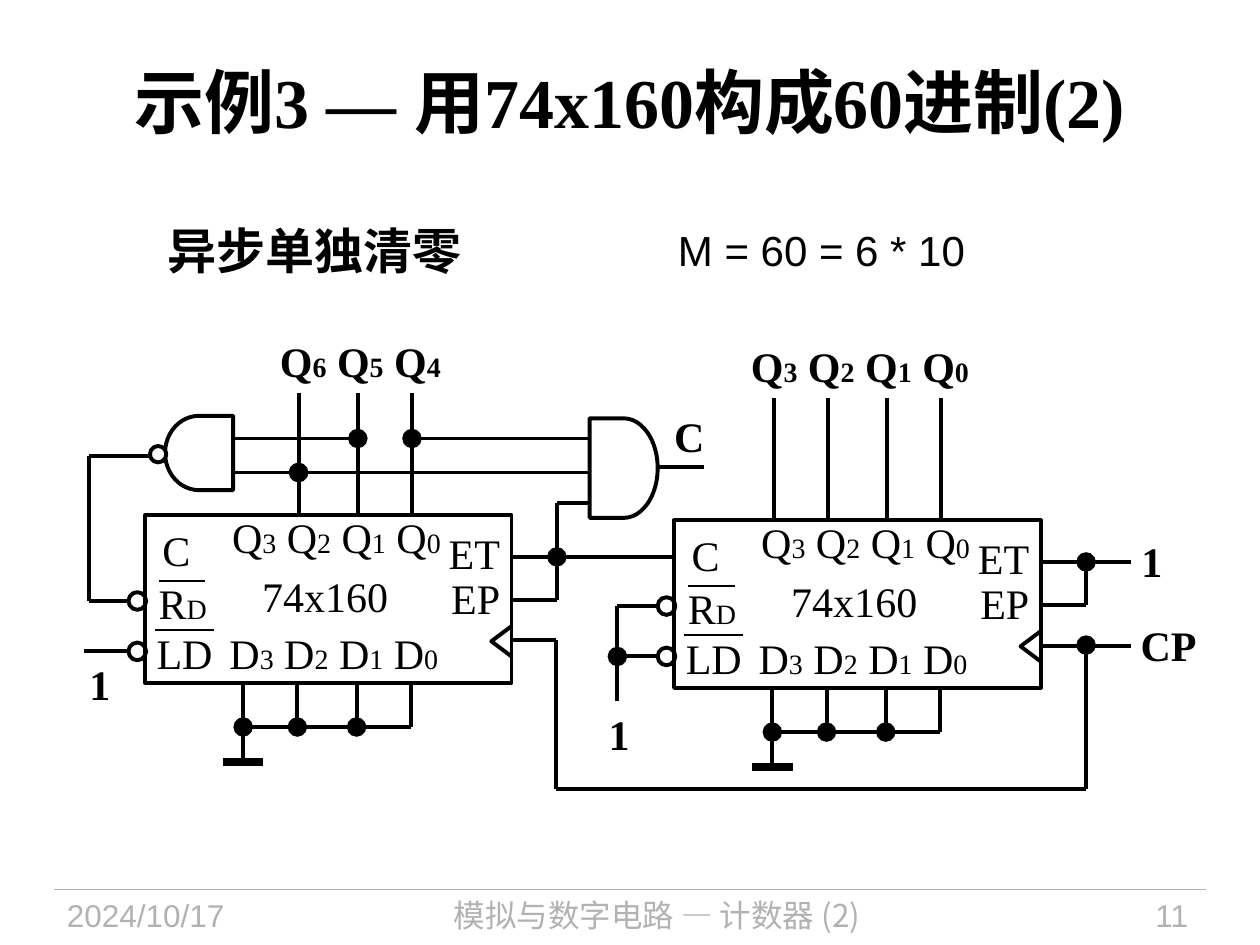
from itertools import pairwise

from pptx import Presentation
from pptx.dml.color import RGBColor
from pptx.enum.shapes import MSO_CONNECTOR, MSO_SHAPE
from pptx.enum.text import MSO_ANCHOR, PP_ALIGN
from pptx.oxml.ns import qn
from pptx.util import Inches, Pt
from lxml.etree import SubElement

UNIT = Inches(10) / 100
BLACK, GREY, WHITE = "000000", "B2B2B2", "FFFFFF"
SERIF, SANS, CJK = "Times New Roman", "Arial", "Noto Sans CJK SC"
PINS = (7.9, 12.2, 16.9, 21.2)
CHIP_W, CHIP_H = 29.1, 13.3
LABELS = (
    ("Q_3 Q_2 Q_1 Q_0", 5.9, -0.8, 18.6),
    ("C", 0.4, 0.2, 4.2),
    ("ET", 23.1, 0.5, 6.1),
    ("EP", 23.3, 4, 5.9),
    ("74x160", 8.3, 3.9, 12),
    ("R_D", 0.1, 4.4, 5.8),
    ("LD", -0.1, 8.4, 6.5),
    ("D_3 D_2 D_1 D_0", 5.7, 8.4, 18.6),
)


def grid(*values):
    """Turn grid columns and rows (100 across, 75 down) into EMU."""
    return [round(v * UNIT) for v in values]


def color(hex_string):
    """Return the RGB colour of a hex string."""
    return RGBColor.from_string(hex_string)


def write(tf, text, size, font, fill=BLACK, bold=False, align=PP_ALIGN.CENTER, wrap=False):
    """Fill a text frame; a character after an underscore is set small."""
    frame = {"word_wrap": wrap, "vertical_anchor": MSO_ANCHOR.MIDDLE, "margin_left": 0,
             "margin_right": 0, "margin_top": 0, "margin_bottom": 0}
    for name, value in frame.items():
        setattr(tf, name, value)
    p = tf.paragraphs[0]
    p.alignment = align
    first, *rest = text.split("_")
    pieces = [(first, size)]
    for part in rest:
        pieces += [(part[0], size * 2 / 3), (part[1:], size)]
    for piece, points in pieces:
        if piece:
            r = p.add_run()
            r.text = piece
            for name, value in {"name": font, "size": Pt(points), "bold": bold}.items():
                setattr(r.font, name, value)
            r.font.color.rgb = color(fill)
            SubElement(r.font._element, qn("a:ea"), typeface=CJK)


def label(s, text, x, y, w, h=5, size=24, font=SERIF, **style):
    """Place a text box on the grid."""
    write(s.shapes.add_textbox(*grid(x, y, w, h)).text_frame, text, size, font, **style)


def outline(sp, fill=None, width=2.25):
    """Give a shape a plain black outline and an optional fill."""
    sp.shadow.inherit = False
    if fill:
        sp.fill.solid()
        sp.fill.fore_color.rgb = color(fill)
    else:
        sp.fill.background()
    sp.line.color.rgb = color(BLACK)
    sp.line.width = Pt(width)
    return sp


def wire(s, x1, y1, x2, y2, dot=None, width=2.25, fill=BLACK):
    """Draw a straight wire, with a junction dot at its head or tail."""
    c = s.shapes.add_connector(MSO_CONNECTOR.STRAIGHT, *grid(x1, y1, x2, y2))
    c.line.color.rgb = color(fill)
    c.line.width = Pt(width)
    if dot:
        SubElement(c.line._get_or_add_ln(), qn(f"a:{dot}End"), type="oval", w="lg", len="lg")
    SubElement(c._element.spPr, qn("a:effectLst"))


def route(s, *points):
    """Draw wires through a row of points."""
    for start, end in pairwise(points):
        wire(s, *start, *end)


def bubble(s, x, y, d=1.4):
    """Draw an inverting bubble around a centre."""
    box = grid(x - d / 2, y - d / 2, d, d)
    outline(s.shapes.add_shape(MSO_SHAPE.OVAL, *box), WHITE)


def gate(s, x, y, w, h, rotation=0):
    """Draw the body of an AND gate in a box."""
    sp = s.shapes.add_shape(MSO_SHAPE.FLOWCHART_DELAY, *grid(x, y, w, h))
    outline(sp, WHITE).rotation = rotation


def ground(s, x, y):
    """Tie the data pins of a chip at x, y to ground."""
    foot, bus = y + CHIP_H, y + 16.8
    left, *middle, right = (x + pin - 0.1 for pin in PINS)
    wire(s, left, foot, left, y + 19.6)
    for pin in middle:
        wire(s, pin, bus, pin, foot, "head")
    wire(s, right, bus, right, foot)
    wire(s, left, bus, right, bus, "head")
    wire(s, left - 1.6, y + 19.6, left + 1.6, y + 19.6, width=4.5)


def chip(s, x, y, outputs, reach):
    """Draw a counter with output pins, ET wire reach, inputs and ground."""
    for pin in outputs:
        wire(s, x + pin, y, x + pin, y - 9.7)
    for text, dx, dy, w in LABELS:
        label(s, text, x + dx, y + dy, w)
    for left, right, row in ((1.1, 4.8, 5.2), (0.8, 5.5, 9.1)):
        wire(s, x + left, y + row, x + right, y + row, width=1.5)
    fb = s.shapes.build_freeform(*grid(x + CHIP_W, y + 8.8))
    fb.add_line_segments([grid(x + 27.5, y + 10), grid(x + CHIP_W, y + 11.2)], close=False)
    outline(fb.convert_to_shape())
    joint = x + 32.7
    wire(s, x + CHIP_W, y + 3.3, x + reach, y + 3.3)
    wire(s, x + CHIP_W, y + 6.7, joint, y + 6.7)
    wire(s, joint, y + 6.7, joint, y + 3.3, "tail")
    ground(s, x, y)
    for row in (6.8, 10.8):
        bubble(s, x - 0.6, y + row)
    outline(s.shapes.add_shape(MSO_SHAPE.RECTANGLE, *grid(x, y, CHIP_W, CHIP_H)))


def tens_counter(s, x, y):
    """Draw the tens counter with its reset gate and carry gate."""
    q6, q5, q4 = (x + pin for pin in PINS[1:])
    upper, lower, joint = y - 6.1, y - 3.4, x + 32.7
    wire(s, x + 7, lower, q6, lower, "tail")
    wire(s, x + 7, upper, q5, upper, "tail")
    wire(s, q6, lower, x + 35.3, lower, "head")
    wire(s, q4, upper, x + 35.3, upper, "head")
    route(s, (x + 0.3, y - 4.7), (x - 4.4, y - 4.7), (x - 4.4, y + 6.8), (x - 1.3, y + 6.8))
    gate(s, x + 1.6, y - 7.9, 5.4, 5.9, 180)
    bubble(s, x + 1.05, y - 4.85, 1.3)
    gate(s, x + 35.3, y - 7.7, 5.4, 7.9)
    route(s, (x + 35.3, y - 1), (joint, y - 1), (joint, y + 3.3))
    wire(s, x + 40.8, y - 3.8, x + 44.4, y - 3.8)
    wire(s, x - 4.8, y + 10.8, x - 1.3, y + 10.8)
    chip(s, x, y, PINS[1:], 42)
    for text, dx, dy, w, h in (("C", 42, -8.1, 2.4, 3.6), ("1", -4.4, 11.6, 1.6, 3.6),
                               ("Q_6 Q_5 Q_4", 9.7, -14.8, 14.8, 5)):
        label(s, text, x + dx, y + dy, w, h, bold=True)


def units_counter(s, x, y):
    """Draw the units counter with its clock and constant inputs."""
    chip(s, x, y, PINS, 36.3)
    wire(s, x + CHIP_W, y + 10, x + 36.3, y + 10)
    wire(s, x - 4.5, y + 10.8, x - 1.3, y + 10.8, "head")
    route(s, (x - 1.3, y + 6.8), (x - 4.5, y + 6.8), (x - 4.5, y + 14.3))
    for text, dx, dy, w, h in (("CP", 36.3, 8.1, 5.9, 3.6), ("1", 37.1, 1.4, 1.6, 3.6),
                               ("1", -5.2, 15.1, 1.6, 3.6),
                               ("Q_3 Q_2 Q_1 Q_0", 5.1, -14.8, 19.3, 5)):
        label(s, text, x + dx, y + dy, w, h, bold=True)


def clock_line(s, start, end, row, bottom):
    """Join the clock inputs of both counters below them."""
    route(s, (start - 3.6, row - 0.4), (start, row - 0.4), (start, bottom), (end, bottom))
    wire(s, end, bottom, end, row, "tail")


def heading(s, x, y, w, h):
    """Place the title and the two lines below it."""
    sp = s.shapes.title
    sp.left, sp.top, sp.width, sp.height = grid(x, y, w, h)
    write(sp.text_frame, "示例3 — 用74x160构成60进制(2)", 40, SERIF, bold=True, wrap=True)
    label(s, "异步单独清零", x + 8.3, y + 15.3, 23.3, 5.7, 28, SANS, bold=True,
          align=PP_ALIGN.LEFT)
    label(s, "M = 60 = 6 * 10", x + 48.8, y + 15.6, 22.8, 5, 24, SANS, align=PP_ALIGN.LEFT)


def footer(s, x, y, w, h):
    """Place the rule, date, course name and page number."""
    wire(s, x, y, x + w, y, width=0.75, fill=GREY)
    for text, dx, span, font, align in (
            ("2024/10/17", 1, 16.8, SANS, PP_ALIGN.LEFT),
            ("模拟与数字电路 — 计数器 (2)", 19.7, 56.3, CJK, PP_ALIGN.CENTER),
            ("11", 78.7, 11.3, SANS, PP_ALIGN.RIGHT)):
        label(s, text, x + dx, y, span, h, 18, font, fill=GREY, align=align, wrap=True)


def main():
    """Build the slide and save it."""
    prs = Presentation()
    prs.slide_width, prs.slide_height = Inches(10), Inches(7.5)
    s = prs.slides.add_slide(prs.slide_layouts[5])
    footer(s, 4.3, 70.6, 91.4, 4)
    heading(s, 5, 1.7, 90, 12.5)
    tens_counter(s, 11.5, 40.9)
    units_counter(s, 53.5, 41.3)
    clock_line(s, 44.1, 86.2, 51.2, 62.6)
    prs.save("out.pptx")


if __name__ == "__main__":
    main()
